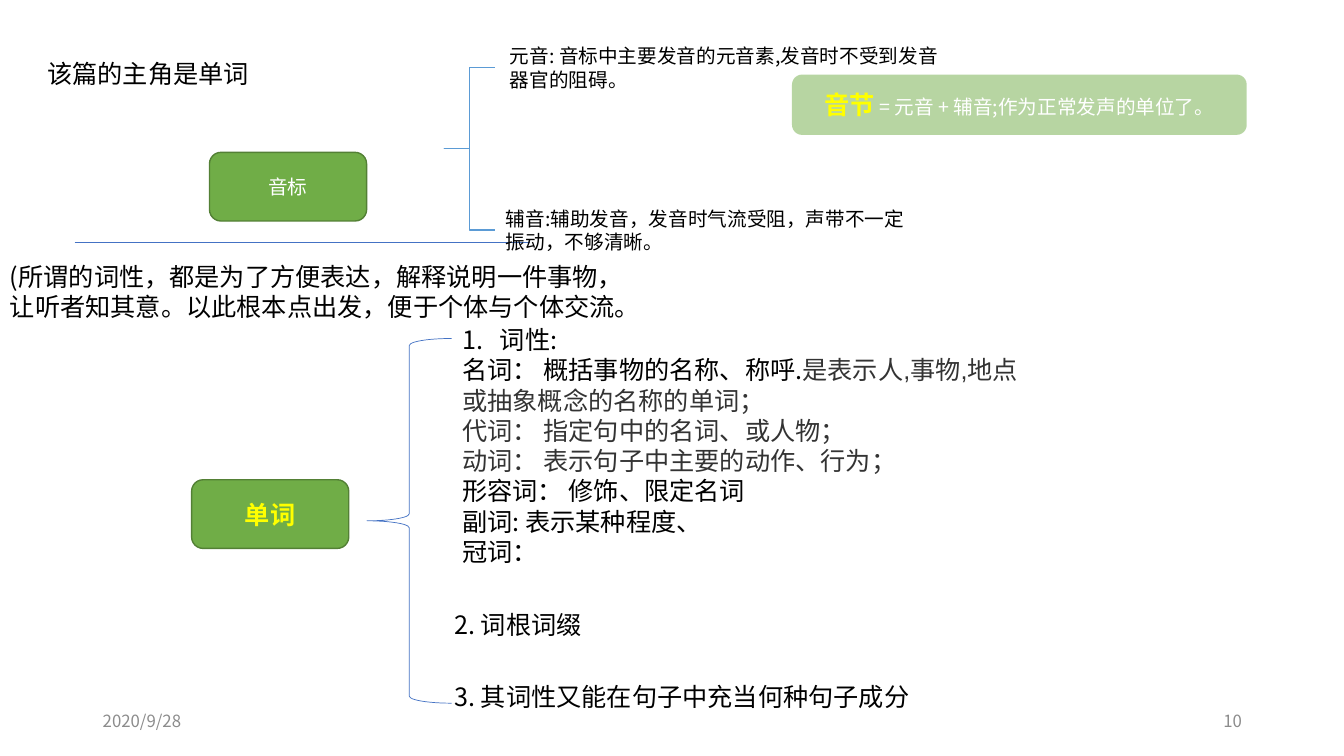
from lxml import etree
from pptx import Presentation
from pptx.dml.color import RGBColor
from pptx.enum.shapes import MSO_CONNECTOR, MSO_SHAPE
from pptx.enum.text import MSO_ANCHOR, MSO_AUTO_SIZE, PP_ALIGN
from pptx.oxml.ns import qn
from pptx.util import Cm, Pt

LEFT, CENTER, RIGHT = PP_ALIGN.LEFT, PP_ALIGN.CENTER, PP_ALIGN.RIGHT
TOP, MIDDLE = MSO_ANCHOR.TOP, MSO_ANCHOR.MIDDLE
ROUNDED, BRACE = MSO_SHAPE.ROUNDED_RECTANGLE, MSO_SHAPE.LEFT_BRACE
STRAIGHT = MSO_CONNECTOR.STRAIGHT
NO_AUTOFIT = MSO_AUTO_SIZE.NONE
TITLE_ONLY = 5

FONT = "Noto Sans CJK SC"
COLORS = {
    "green": "70AD47", "dark green": "538035", "blue": "4472C4",
    "light blue": "5B9BD5", "yellow": "FFFF00", "white": "FFFFFF",
    "black": "000000", "dark gray": "333333", "gray": "8C8C8C",
}


def rgb(name):
    return RGBColor.from_string(COLORS[name])


def add_run(paragraph, text, size=18, color="black", bold=False, font=FONT):
    run = paragraph.add_run()
    run.text = text
    run.font.size = Pt(size)
    run.font.bold = bold
    run.font.name = font
    run.font.color.rgb = rgb(color)
    east_asian = etree.SubElement(run.font._element, qn("a:ea"))
    east_asian.set("typeface", FONT)


def number_paragraph(paragraph):
    properties = paragraph._p.get_or_add_pPr()
    properties.set("marL", str(Cm(0.95)))
    properties.set("indent", str(Cm(-0.95)))
    etree.SubElement(properties, qn("a:buFont"), typeface="+mj-lt")
    etree.SubElement(properties, qn("a:buAutoNum"), type="arabicPeriod")


def write(shape, *paragraphs, align=LEFT, anchor=TOP, numbered=False, **style):
    """Fill a shape; a paragraph is a string or a list of (text, format) runs."""
    frame = shape.text_frame
    frame.word_wrap = True
    frame.auto_size = NO_AUTOFIT
    frame.vertical_anchor = anchor
    for index, content in enumerate(paragraphs):
        paragraph = frame.add_paragraph() if index else frame.paragraphs[0]
        paragraph.alignment = align
        if numbered and index == 0:
            number_paragraph(paragraph)
        runs = [(content, {})] if isinstance(content, str) else content
        for text, run_style in runs:
            add_run(paragraph, text, **{**style, **run_style})


def add_text(slide, box, *paragraphs, **style):
    write(slide.shapes.add_textbox(*map(Cm, box)), *paragraphs, **style)


def add_rounded_box(slide, box, content, outline=None, opacity=None, **style):
    shape = slide.shapes.add_shape(ROUNDED, *map(Cm, box))
    shape.shadow.inherit = False
    shape.fill.solid()
    shape.fill.fore_color.rgb = rgb("green")
    if opacity:
        color = shape._element.spPr.find(".//" + qn("a:srgbClr"))
        etree.SubElement(color, qn("a:alpha"), val=str(opacity * 1000))
    if outline:
        shape.line.color.rgb = rgb(outline)
        shape.line.width = Pt(1)
    else:
        shape.line.fill.background()
    write(shape, content, align=CENTER, anchor=MIDDLE, **style)


def add_brace(slide, box, color, width, curve=0.08333):
    brace = slide.shapes.add_shape(BRACE, *map(Cm, box))
    brace.shadow.inherit = False
    brace.adjustments[0] = curve
    brace.fill.background()
    brace.line.color.rgb = rgb(color)
    brace.line.width = Pt(width)


def add_divider(slide, left, right, top):
    line = slide.shapes.add_connector(STRAIGHT, Cm(left), Cm(top), Cm(right), Cm(top))
    line.line.color.rgb = rgb("blue")
    line.line.width = Pt(0.5)
    etree.SubElement(line._element.spPr, qn("a:effectLst"))


def add_title(slide, box, text):
    title = slide.shapes.title
    title.left, title.top, title.width, title.height = map(Cm, box)
    write(title, text)


def add_phonetics(slide):
    add_rounded_box(slide, (5.28, 3.84, 3.96, 1.73), "音标",
                    outline="dark green", size=14, color="white")
    add_divider(slide, 1.88, 13.36, 6.1)
    add_brace(slide, (11.2, 1.7, 1.27, 4.09), "light blue", 1.25, curve=0)
    add_text(slide, (12.6, 0.99, 11.46, 1.45),
             "元音: 音标中主要发音的元音素,发音时不受到发音器官的阻碍。", size=14)
    add_text(slide, (12.5, 5.08, 10.82, 1.45),
             "辅音:辅助发音，发音时气流受阻，声带不一定振动，不够清晰。", size=14)
    syllable = [("音节", {"size": 18, "color": "yellow", "bold": True}),
                (" = 元音 + 辅音;作为正常发声的单位了。", {})]
    add_rounded_box(slide, (19.96, 1.88, 11.46, 1.52), syllable,
                    opacity=50, size=14, color="white")


def add_words(slide):
    add_rounded_box(slide, (4.83, 12.09, 3.96, 1.73), "单词",
                    outline="dark green", color="yellow", bold=True)
    add_brace(slide, (9.25, 8.53, 2.13, 9.19), "blue", 0.5)
    quoted = {"font": "Arial", "color": "dark gray"}
    add_text(slide, (11.4, 8.05, 14.86, 6.4),
             "词性:",
             [("名词： 概括事物的名称、称呼.", {}),
              ("是表示人,事物,地点或抽象概念的名称的单词；", quoted)],
             [("代词： 指定句中的名词、或人物；", quoted)],
             [("动词： 表示句子中主要的动作、行为；", quoted)],
             "形容词： 修饰、限定名词",
             "副词: 表示某种程度、",
             "冠词：",
             numbered=True)
    add_text(slide, (11.2, 15.24, 3.96, 1.02), "2. 词根词缀")
    add_text(slide, (11.2, 17.04, 12.85, 1.02), "3. 其词性又能在句子中充当何种句子成分")
    add_text(slide, (0, 6.45, 16.94, 1.8),
             "(所谓的词性，都是为了方便表达，解释说明一件事物，",
             "让听者知其意。以此根本点出发，便于个体与个体交流。")


def add_footer(slide):
    for left, text, align in ((2.34, "2020/9/28", LEFT), (23.93, "10", RIGHT)):
        add_text(slide, (left, 17.65, 7.62, 1.02), text,
                 align=align, anchor=MIDDLE, size=12, color="gray")


def main():
    presentation = Presentation()
    presentation.slide_width = Cm(33.87)
    presentation.slide_height = Cm(19.05)
    slide = presentation.slides.add_slide(presentation.slide_layouts[TITLE_ONLY])
    add_title(slide, (0.94, 1.35, 8.1, 1.02), "该篇的主角是单词")
    add_phonetics(slide)
    add_words(slide)
    add_footer(slide)
    presentation.save("out.pptx")


if __name__ == "__main__":
    main()
